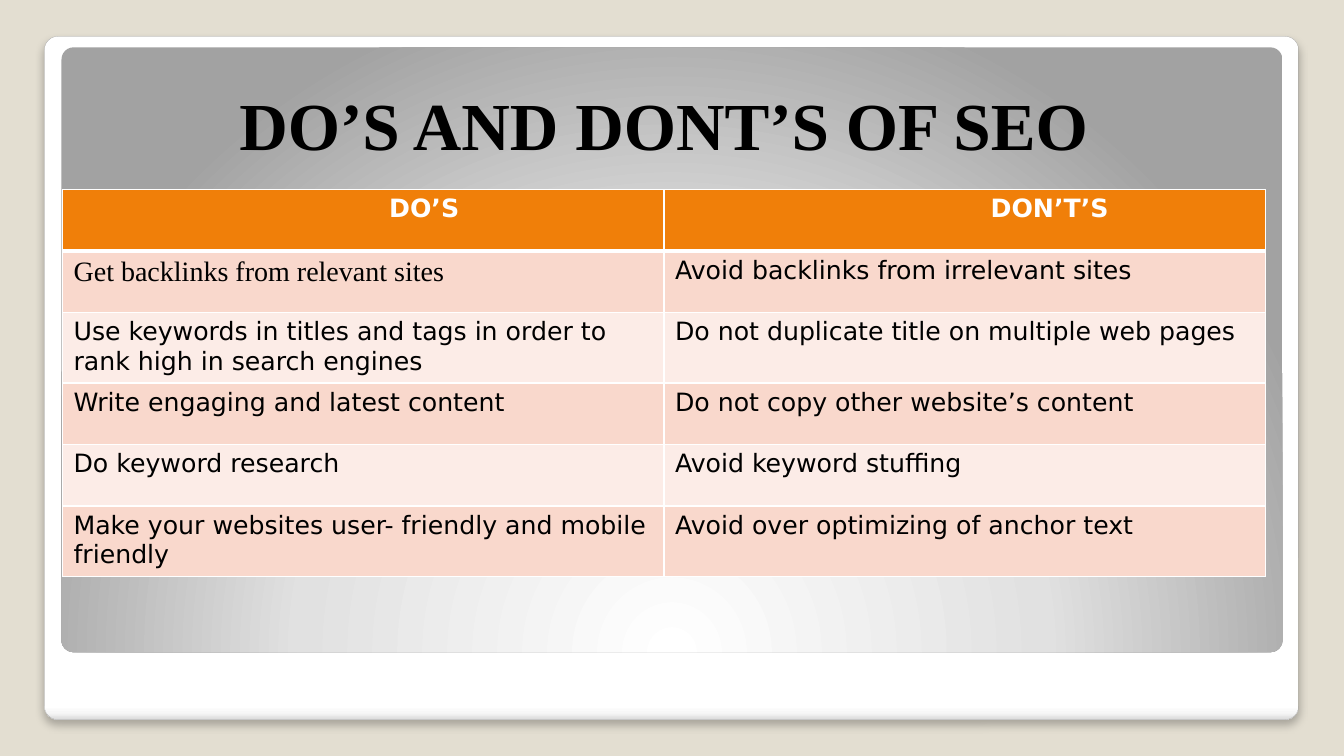
import pptx
import pptx.dml.color
import pptx.enum.shapes
import pptx.enum.text
import pptx.oxml
import pptx.oxml.ns
import pptx.util

Inches = pptx.util.Inches
Pt = pptx.util.Pt
NAMESPACE = pptx.oxml.ns.nsdecls("a")
SANS = "DejaVu Sans"
SERIF = "Times New Roman"
WHITE = "FFFFFF"
HEADER_FILL = "F07F09"
BAND_FILLS = ["F9D8CC", "FCECE7"]
TITLE_FORMAT = {"size": Pt(48), "name": SERIF, "bold": True}
HEADER_FORMAT = {"size": Pt(18), "name": SANS, "bold": True}
BODY_FORMAT = {"size": Pt(18), "name": SANS, "bold": False}
FIRST_TIP_FORMAT = {"size": Pt(20), "name": SERIF, "bold": False}
ADVICE = [
    ("DO’S", "DON’T’S"),
    ("Get backlinks from relevant sites", "Avoid backlinks from irrelevant sites"),
    ("Use keywords in titles and tags in order to rank high in search engines",
     "Do not duplicate title on multiple web pages"),
    ("Write engaging and latest content", "Do not copy other website’s content"),
    ("Do keyword research", "Avoid keyword stuffing"),
    ("Make your websites user- friendly and mobile friendly",
     "Avoid over optimizing of anchor text"),
]


def color(hex_value):
    return pptx.dml.color.RGBColor.from_string(hex_value)


def write(paragraph, text, text_color, formats):
    paragraph.text = text
    paragraph.font.color.rgb = color(text_color)
    for key, value in formats.items():
        setattr(paragraph.font, key, value)


def add_panel(slide, left, top, width, height, stops, direction):
    panel = slide.shapes.add_shape(
        pptx.enum.shapes.MSO_SHAPE.ROUNDED_RECTANGLE,
        Inches(left), Inches(top), Inches(width), Inches(height))
    panel.adjustments[0] = 0.02
    panel.shadow.inherit = False
    panel.line.fill.background()
    stop_list = "".join(
        f'<a:gs pos="{position * 1000}"><a:srgbClr val="{shade}"/></a:gs>'
        for position, shade in stops)
    gradient = pptx.oxml.parse_xml(
        f'<a:gradFill {NAMESPACE} rotWithShape="1"><a:gsLst>{stop_list}</a:gsLst>'
        f'{direction}</a:gradFill>')
    panel._element.spPr.find(pptx.oxml.ns.qn("a:prstGeom")).addnext(gradient)
    return panel


def add_frame(slide):
    frame = add_panel(
        slide, 0.44, 0.36, 12.44, 6.78,
        [(0, WHITE), (98, WHITE), (99, "F7F7F7"), (100, "DADADA")],
        '<a:lin ang="5400000" scaled="0"/>')
    frame.line.color.rgb = color("A4A4A4")
    frame.line.width = Pt(0.16)
    effects = frame._element.spPr.find(pptx.oxml.ns.qn("a:effectLst"))
    effects.append(pptx.oxml.parse_xml(
        f'<a:outerShdw {NAMESPACE} blurRad="{Pt(6)}" dist="{Pt(4)}" dir="5400000" '
        'algn="t" rotWithShape="0"><a:srgbClr val="000000"><a:alpha val="25000"/>'
        '</a:srgbClr></a:outerShdw>'))


def add_title(slide, text):
    title = slide.shapes.add_textbox(
        Inches(0.62), Inches(0.53), Inches(11.93), Inches(1.15)).text_frame
    title.word_wrap = True
    title.vertical_anchor = pptx.enum.text.MSO_ANCHOR.BOTTOM
    title.paragraphs[0].alignment = pptx.enum.text.PP_ALIGN.CENTER
    write(title.paragraphs[0], text, "000000", TITLE_FORMAT)


def set_borders(cell, top, bottom):
    widths = {"lnL": 1, "lnR": 1, "lnT": top, "lnB": bottom}
    for index, (side, width) in enumerate(widths.items()):
        cell._tc.get_or_add_tcPr().insert(index, pptx.oxml.parse_xml(
            f'<a:{side} {NAMESPACE} w="{Pt(width)}"><a:solidFill>'
            f'<a:srgbClr val="{WHITE}"/></a:solidFill></a:{side}>'))


def fill_cell(cell, text, row, column):
    is_header = row == 0
    margins = {"margin_left": Inches(3.24 if is_header else 0.11),
               "margin_right": Inches(0.11),
               "margin_top": Inches(0.05), "margin_bottom": Inches(0.05)}
    for key, value in margins.items():
        setattr(cell, key, value)
    cell.fill.solid()
    cell.fill.fore_color.rgb = color(
        HEADER_FILL if is_header else BAND_FILLS[(row - 1) % 2])
    set_borders(cell, 3 if row == 1 else 1, 3 if is_header else 1)
    formats = HEADER_FORMAT if is_header else BODY_FORMAT
    if (row, column) == (1, 0):
        formats = FIRST_TIP_FORMAT
    write(cell.text_frame.paragraphs[0], text,
          WHITE if is_header else "000000", formats)


def add_advice_table(slide):
    advice = slide.shapes.add_table(
        len(ADVICE), 2, Inches(0.62), Inches(1.88), Inches(11.93),
        Inches(0.61 * len(ADVICE))).table
    advice.horz_banding = False
    for row, texts in enumerate(ADVICE):
        for column, text in enumerate(texts):
            fill_cell(advice.cell(row, column), text, row, column)


def main():
    deck = pptx.Presentation()
    deck.slide_width = Inches(13.33)
    deck.slide_height = Inches(7.5)
    slide = deck.slides.add_slide(deck.slide_layouts[6])
    slide.background.fill.solid()
    slide.background.fill.fore_color.rgb = color("E3DED1")
    add_frame(slide)
    add_panel(
        slide, 0.61, 0.47, 12.11, 6,
        [(0, WHITE), (55, "E1E1E1"), (100, "A2A2A2")],
        '<a:path path="circle"><a:fillToRect l="50000" t="175000" '
        'r="50000" b="-75000"/></a:path>')
    add_title(slide, "DO’S AND DONT’S OF SEO")
    add_advice_table(slide)
    deck.save("out.pptx")


if __name__ == "__main__":
    main()
